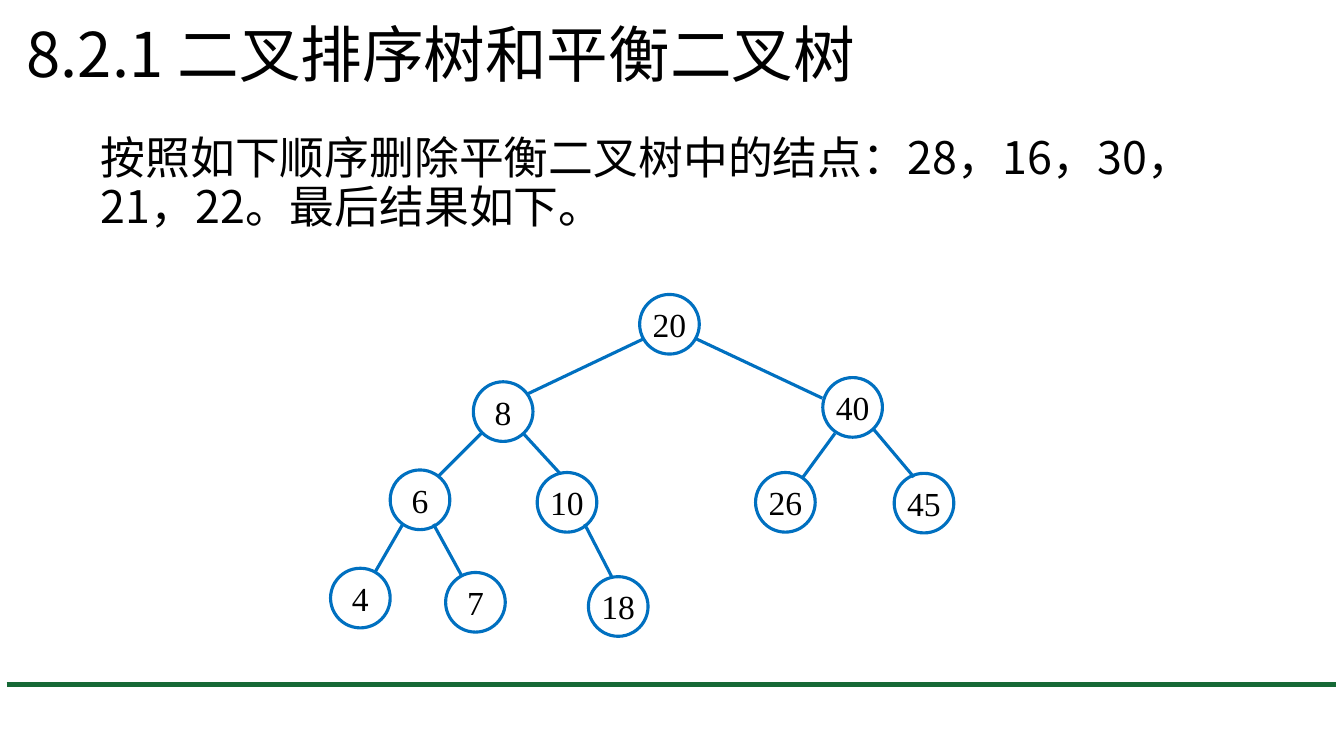
from typing import NamedTuple, Optional

from lxml.etree import SubElement
from pptx import Presentation
from pptx.dml.color import RGBColor
from pptx.enum.shapes import MSO_CONNECTOR, MSO_SHAPE
from pptx.enum.text import MSO_ANCHOR, PP_ALIGN
from pptx.oxml.ns import qn
from pptx.slide import Slide
from pptx.text.text import TextFrame
from pptx.util import Inches, Pt

COLORS = {"text": "000000", "tree": "0070C0", "footer": "166936"}
HEADING_FONT = "Noto Sans CJK SC"
NODE_FONT = "Times New Roman"

# The slide is a grid of 160 columns by 90 rows with square cells
COLUMNS, ROWS = 160, 90
CELL = Inches(1 / 12)
NODE_SIZE = 7.1


class Point(NamedTuple):
    col: float
    row: float


class Branch(NamedTuple):
    start: Point
    end: Point


class Node(NamedTuple):
    key: str
    center: Point
    branch: Optional[Branch] = None  # line down from the parent


TREE = [
    Node("20", Point(79.7, 38.6)),
    Node("8", Point(59.9, 49), Branch(Point(76.7, 40.3), Point(62.8, 46.9))),
    Node("40", Point(101.5, 48.5), Branch(Point(82.8, 40.3), Point(97.9, 47.4))),
    Node("6", Point(50, 59.5), Branch(Point(57.4, 51.5), Point(52.1, 56.8))),
    Node("10", Point(67.5, 59.8), Branch(Point(62.3, 51.6), Point(66.7, 56.4))),
    Node("26", Point(93.5, 59.8), Branch(Point(99.4, 51.6), Point(95.6, 56.8))),
    Node("45", Point(110, 59.9), Branch(Point(104, 51.1), Point(108.8, 56.8))),
    Node("4", Point(42.9, 71.2), Branch(Point(47.9, 62.5), Point(44.6, 68.2))),
    Node("7", Point(56.6, 71.7), Branch(Point(51.6, 62.4), Point(55, 68.6))),
    Node("18", Point(73.6, 72.2), Branch(Point(69.6, 62.4), Point(72.8, 68.6))),
]


def cells(count: float) -> int:
    return round(count * CELL)


def color(name: str) -> RGBColor:
    return RGBColor.from_string(COLORS[name])


def write(frame: TextFrame, text: str, *, size: float, font: str,
          align: PP_ALIGN = PP_ALIGN.LEFT, anchor: MSO_ANCHOR = MSO_ANCHOR.MIDDLE,
          spacing: float = 1.0, wrap: bool = True) -> None:
    frame.word_wrap = wrap
    frame.vertical_anchor = anchor
    paragraph = frame.paragraphs[0]
    paragraph.alignment = align
    paragraph.line_spacing = spacing
    run = paragraph.add_run()
    run.text = text
    run.font.size = Pt(size)
    run.font.name = font
    run.font.color.rgb = color("text")
    # Chinese characters take their face from the East Asian font
    SubElement(run.font._element, qn("a:ea"), typeface=font)


def draw_text(slide: Slide, corner: Point, width: float, height: float,
              text: str, **text_format) -> None:
    box = slide.shapes.add_textbox(cells(corner.col), cells(corner.row),
                                   cells(width), cells(height))
    write(box.text_frame, text, font=HEADING_FONT, spacing=0.9, **text_format)


def draw_line(slide: Slide, start: Point, end: Point, stroke: str, weight: float) -> None:
    line = slide.shapes.add_connector(MSO_CONNECTOR.STRAIGHT, cells(start.col), cells(start.row),
                                      cells(end.col), cells(end.row))
    line.line.color.rgb = color(stroke)
    line.line.width = Pt(weight)
    SubElement(line._element.spPr, qn("a:effectLst"))


def draw_node(slide: Slide, node: Node) -> None:
    circle = slide.shapes.add_shape(
        MSO_SHAPE.OVAL, cells(node.center.col - NODE_SIZE / 2),
        cells(node.center.row - NODE_SIZE / 2), cells(NODE_SIZE), cells(NODE_SIZE))
    circle.shadow.inherit = False
    circle.fill.background()
    circle.line.color.rgb = color("tree")
    circle.line.width = Pt(2.25)
    write(circle.text_frame, node.key, size=24, font=NODE_FONT,
          align=PP_ALIGN.CENTER, wrap=False)


def main() -> None:
    deck = Presentation()
    deck.slide_width, deck.slide_height = cells(COLUMNS), cells(ROWS)
    slide = deck.slides.add_slide(deck.slide_layouts[6])

    # Footer rule
    draw_line(slide, Point(0.8, 81.5), Point(159.1, 81.5), "footer", 3.75)

    # Title and task
    draw_text(slide, Point(2, -1.8), 138, 17.4, "8.2.1 二叉排序树和平衡二叉树", size=44)
    draw_text(slide, Point(10.8, 15.6), 138, 57.1,
              "按照如下顺序删除平衡二叉树中的结点：28，16，30，21，22。最后结果如下。",
              size=32, anchor=MSO_ANCHOR.TOP)

    # Balanced binary tree
    for node in TREE:
        draw_node(slide, node)
        if node.branch:
            draw_line(slide, *node.branch, stroke="tree", weight=2.25)

    deck.save("out.pptx")


if __name__ == "__main__":
    main()
